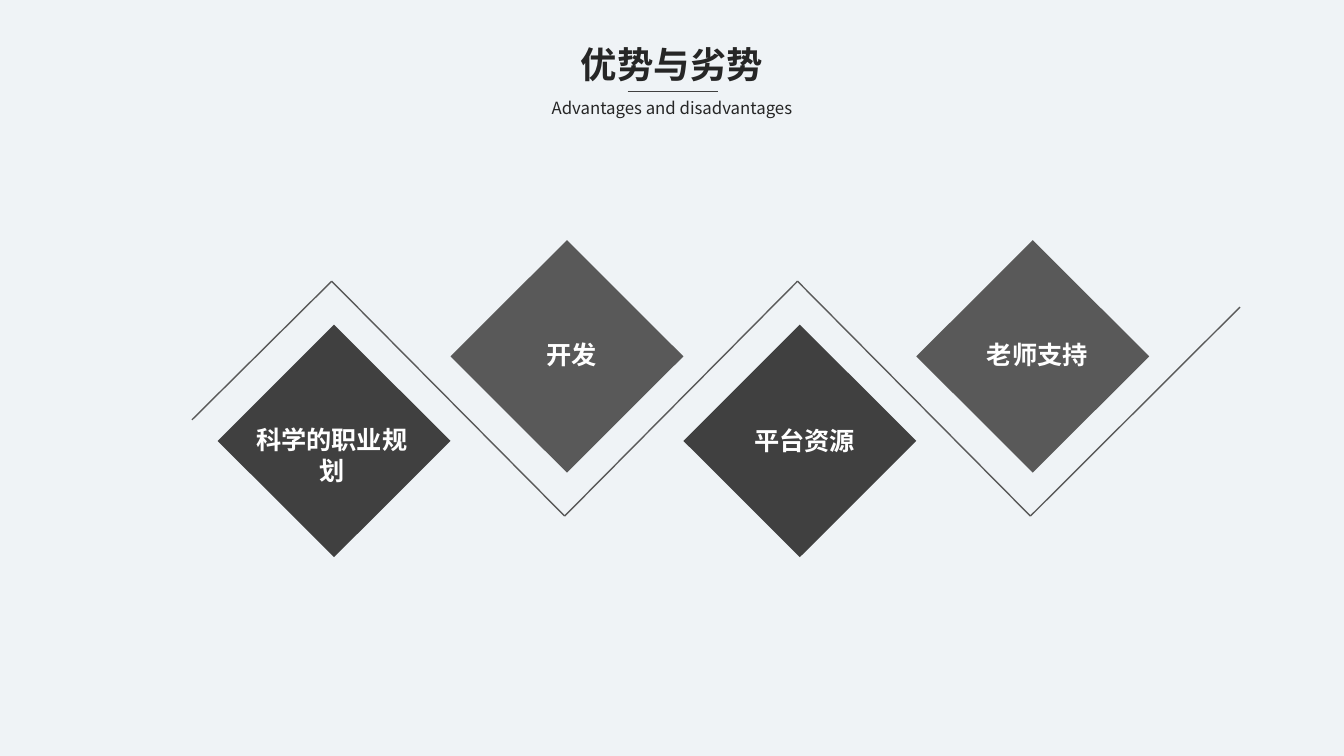
from itertools import pairwise

from lxml import etree
from pptx import Presentation
from pptx.dml.color import RGBColor
from pptx.enum.shapes import MSO_CONNECTOR, MSO_SHAPE
from pptx.enum.text import MSO_ANCHOR, PP_ALIGN
from pptx.oxml.ns import qn
from pptx.util import Inches, Pt

STRAIGHT = MSO_CONNECTOR.STRAIGHT
DIAMOND = MSO_SHAPE.DIAMOND
MIDDLE = MSO_ANCHOR.MIDDLE
CENTER = PP_ALIGN.CENTER

PALE = RGBColor(0xEF, 0xF3, 0xF6)
DARK = RGBColor(0x40, 0x40, 0x40)
GREY = RGBColor(0x59, 0x59, 0x59)
INK = RGBColor(0x26, 0x26, 0x26)
WHITE = RGBColor(0xFF, 0xFF, 0xFF)

WIDTH, HEIGHT = 13.33, 7.5


class Grid:
    """Draws on a slide in columns and rows counted from an origin in inches."""

    font = "Noto Sans CJK SC"
    line_width = Pt(1)

    def __init__(self, s, left, top, column, row):
        self.s = s
        self.left, self.top = left, top
        self.column, self.row = column, row

    def point(self, col, row):
        return (Inches(self.left + col * self.column),
                Inches(self.top + row * self.row))

    def box(self, col, row, w, h):
        """Position and size of a box centred on a grid point."""
        return (*self.point(col - w / 2, row - h / 2),
                Inches(w * self.column), Inches(h * self.row))

    def line(self, start, end, color):
        ln = self.s.shapes.add_connector(
            STRAIGHT, *self.point(*start), *self.point(*end))
        ln.line.color.rgb = color
        ln.line.width = self.line_width
        etree.SubElement(ln._element.spPr, qn("a:effectLst"))

    def diamond(self, col, row, w, h, color):
        sp = self.s.shapes.add_shape(DIAMOND, *self.box(col, row, w, h))
        sp.shadow.inherit = False
        sp.fill.solid()
        sp.fill.fore_color.rgb = color
        sp.line.fill.background()

    def text(self, text, col, row, w, h, size, color, bold=False):
        tf = self.s.shapes.add_textbox(*self.box(col, row, w, h)).text_frame
        tf.word_wrap = True
        tf.vertical_anchor = MIDDLE
        p = tf.paragraphs[0]
        p.alignment = CENTER
        r = p.add_run()
        r.text = text
        r.font.size = Pt(size)
        r.font.bold = bold
        r.font.color.rgb = color
        r.font.name = self.font
        ea = etree.SubElement(r._r.get_or_add_rPr(), qn("a:ea"))
        ea.set("typeface", self.font)


def main():
    prs = Presentation()
    prs.slide_width, prs.slide_height = Inches(WIDTH), Inches(HEIGHT)
    s = prs.slides.add_slide(prs.slide_layouts[6])
    s.background.fill.solid()
    s.background.fill.fore_color.rgb = PALE

    # One column per diamond; the zigzag runs between rows 0 and 1
    zigzag = Grid(s, 3.29, 2.79, 2.31, 2.33)
    turns = [(-0.6, 0.59), (0, 0), (1, 1), (2, 0), (3, 1), (3.9, 0.11)]
    for start, end in pairwise(turns):
        zigzag.line(start, end, GREY)

    # Label, column and row of its centre, height in rows
    labels = [("科学的职业规划", 0, 0.74, 0.3),
              ("开发", 1.03, 0.31, 0.17),
              ("平台资源", 2.03, 0.68, 0.17),
              ("老师支持", 3.03, 0.31, 0.17)]
    for i, (label, col, row, h) in enumerate(labels):
        diamond_row, color = ((0.68, DARK), (0.32, GREY))[i % 2]
        zigzag.diamond(i + 0.01, diamond_row, 1, 0.99, color)
        zigzag.text(label, col, row, 0.74, h, 18, WHITE, bold=True)

    # The heading is placed by shares of the slide
    page = Grid(s, 0, 0, WIDTH, HEIGHT)
    page.text("优势与劣势", 0.5, 0.085, 0.32, 0.072, 26, INK, bold=True)
    page.text("Advantages and disadvantages", 0.5, 0.143, 0.32, 0.04, 12, INK)
    page.line((0.467, 0.121), (0.534, 0.121), DARK)

    prs.save("out.pptx")


if __name__ == "__main__":
    main()
